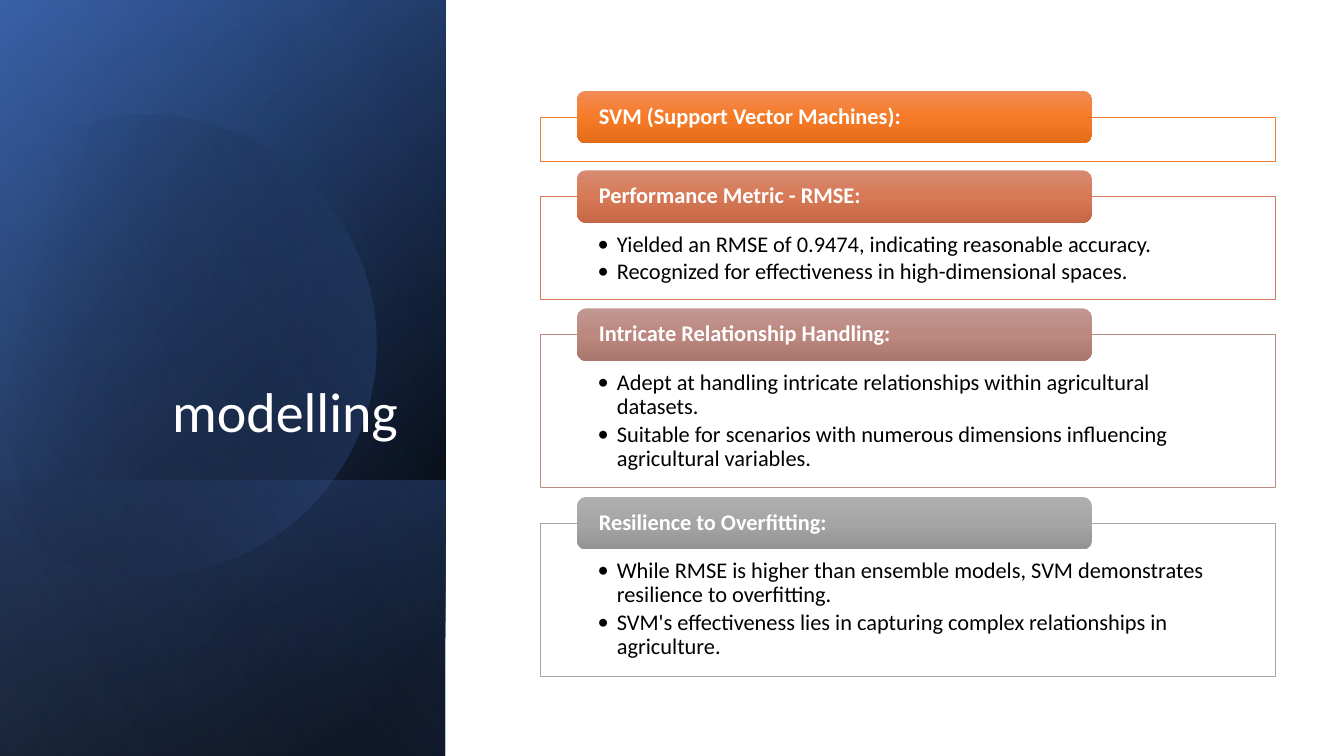
from dataclasses import dataclass

from pptx import Presentation
from pptx.dml.color import RGBColor
from pptx.enum.shapes import MSO_SHAPE
from pptx.enum.text import MSO_ANCHOR, PP_ALIGN
from pptx.oxml import parse_xml
from pptx.oxml.ns import nsdecls, qn
from pptx.shapes.autoshape import Shape
from pptx.shapes.shapetree import SlideShapes
from pptx.text.text import TextFrame, _Paragraph
from pptx.util import Emu, Inches, Pt

RECT, ROUNDED = MSO_SHAPE.RECTANGLE, MSO_SHAPE.ROUNDED_RECTANGLE
TOP, MIDDLE, BOTTOM = MSO_ANCHOR.TOP, MSO_ANCHOR.MIDDLE, MSO_ANCHOR.BOTTOM
LEFT, RIGHT = PP_ALIGN.LEFT, PP_ALIGN.RIGHT

SLIDE_WIDTH, SLIDE_HEIGHT = Inches(40 / 3), Inches(7.5)
CELL = SLIDE_HEIGHT / 75  # square grid: 75 rows, one cell is also one column
FONT = "Calibri"
BODY_SIZE = 16

COLORS = {
    "white": "FFFFFF", "black": "000000",
    "navy": "2F5597", "blue": "4472C4", "pale_blue": "8FAADC",
    "orange": "ED7D31", "orange_top": "F18C57", "orange_mid": "F67B28", "orange_low": "E56C19",
    "clay": "D17B5C", "clay_top": "D78B72", "clay_mid": "D77956", "clay_low": "C66846",
    "rose": "B98A82", "rose_top": "C19791", "rose_mid": "BC8880", "rose_low": "AA766E",
    "gray": "A5A5A5", "gray_top": "AFAFAF", "gray_mid": "A5A5A5", "gray_low": "939393",
}


@dataclass(frozen=True)
class Stop:
    position: int
    color: str
    opacity: int = 100


@dataclass(frozen=True)
class Gradient:
    angle: int
    stops: tuple[Stop, ...]


@dataclass(frozen=True)
class Box:
    """Left, top, width and height in grid cells."""
    column: float
    row: float
    columns: float
    rows: float


@dataclass(frozen=True)
class Backdrop:
    box: Box
    gradient: Gradient


@dataclass(frozen=True)
class Topic:
    heading: str
    color: str
    rows: float
    points: tuple[str, ...] = ()


SIDEBAR = Box(-15.4, 15.4, 75, 44.2)
BASE_LAYERS = (
    Backdrop(SIDEBAR, Gradient(50, (Stop(8, "black"), Stop(100, "navy")))),
    Backdrop(SIDEBAR, Gradient(30, (Stop(0, "black", 0), Stop(99, "blue", 46)))),
    Backdrop(Box(8.4, 39.25, 27.4, 44.2),
             Gradient(130, (Stop(2, "blue", 29), Stop(100, "black", 30)))),
)
GLAZE = Backdrop(SIDEBAR, Gradient(120, (Stop(0, "black", 0), Stop(99, "pale_blue", 11))))

DISC_BOX = Box(-5.5, 10.6, 42.7, 45.7)
DISC_ROTATION = 343.9
DISC_GRADIENT = Gradient(30, (Stop(29, "black", 0), Stop(100, "blue", 43)))
DISC_START = (14.9, 11)
# A curved segment holds two control points and an end point; a straight one only its end.
DISC_SEGMENTS = (
    ((24.6, 11.2), (33.5, 17.7), (36.3, 27.5)),
    ((39.8, 39.7), (32.8, 52.3), (20.7, 55.8)),
    ((13.1, 58), (5.3, 56.1), (-0.3, 51.4)),
    ((-1.5, 50.3),),
    ((-1.5, 17.5),),
    ((0, 16.1),),
    ((2.3, 14.2), (5, 12.8), (8, 11.9)),
    ((10.3, 11.3), (12.6, 11), DISC_START),
)

TITLE_BOX = Box(6.35, 18.4, 34.1, 26.2)
PANEL_COLUMN, PANEL_COLUMNS = 53.6, 72.9
TAB_COLUMN, TAB_COLUMNS, TAB_ROWS = 57.25, 51.05, 5.2
FIRST_PANEL_ROW, PANEL_GAP = 11.6, 3.5
TOPICS = (
    Topic("SVM (Support Vector Machines):", "orange", 4.4),
    Topic("Performance Metric - RMSE:", "clay", 10.2, (
        "Yielded an RMSE of 0.9474, indicating reasonable accuracy.",
        "Recognized for effectiveness in high-dimensional spaces.")),
    Topic("Intricate Relationship Handling:", "rose", 15.2, (
        "Adept at handling intricate relationships within agricultural datasets.",
        "Suitable for scenarios with numerous dimensions influencing agricultural variables.")),
    Topic("Resilience to Overfitting:", "gray", 15.2, (
        "While RMSE is higher than ensemble models, SVM demonstrates resilience to overfitting.",
        "SVM's effectiveness lies in capturing complex relationships in agriculture.")),
)


def cells(count: float) -> Emu:
    return Emu(round(count * CELL))


def place(box: Box) -> tuple[Emu, ...]:
    return tuple(cells(n) for n in (box.column, box.row, box.columns, box.rows))


def rgb(name: str) -> RGBColor:
    return RGBColor.from_string(COLORS[name])


def fill_gradient(shape: Shape, gradient: Gradient) -> None:
    """Give the shape a borderless gradient whose stops may be transparent."""
    shape.shadow.inherit = False
    shape.line.fill.background()
    shape.fill.background()
    stops = "".join(
        f'<a:gs pos="{stop.position * 1000}"><a:srgbClr val="{COLORS[stop.color]}">'
        f'<a:alpha val="{stop.opacity * 1000}"/></a:srgbClr></a:gs>'
        for stop in gradient.stops)
    fill = parse_xml(
        f'<a:gradFill {nsdecls("a")} rotWithShape="1"><a:gsLst>{stops}</a:gsLst>'
        f'<a:lin ang="{gradient.angle * 60000}" scaled="0"/></a:gradFill>')
    properties = shape._element.spPr
    properties.replace(properties.find(qn("a:noFill")), fill)


def draw_backdrop(shapes: SlideShapes, backdrop: Backdrop) -> None:
    layer = shapes.add_shape(RECT, *place(backdrop.box))
    layer.rotation = 90
    layer._element.spPr.find(qn("a:xfrm")).set("flipH", "1")
    fill_gradient(layer, backdrop.gradient)


def draw_disc(shapes: SlideShapes) -> None:
    """Draw the cut disc: its frame and end points first, then bend the curved segments."""
    left, top, width, height = place(DISC_BOX)
    builder = shapes.build_freeform(left, top)
    builder.move_to(left + width, top + height)
    builder.move_to(*map(cells, DISC_START))
    ends = [tuple(map(cells, segment[-1])) for segment in DISC_SEGMENTS]
    builder.add_line_segments(ends, close=True)
    disc = builder.convert_to_shape()
    outline = next(disc._element.iter(qn("a:path")))
    for frame_corner in outline.findall(qn("a:moveTo"))[:2]:
        outline.remove(frame_corner)
    for line, segment in zip(outline.findall(qn("a:lnTo")), DISC_SEGMENTS):
        if len(segment) == 3:
            knots = "".join(f'<a:pt x="{cells(x) - left}" y="{cells(y) - top}"/>'
                            for x, y in segment)
            outline.replace(line, parse_xml(
                f'<a:cubicBezTo {nsdecls("a")}>{knots}</a:cubicBezTo>'))
    disc.rotation = DISC_ROTATION
    fill_gradient(disc, DISC_GRADIENT)


def set_frame(frame: TextFrame, anchor: MSO_ANCHOR, side: float, top: float, bottom: float) -> None:
    frame.word_wrap = True
    frame.vertical_anchor = anchor
    frame.margin_left = frame.margin_right = cells(side)
    frame.margin_top, frame.margin_bottom = cells(top), cells(bottom)


def write(paragraph: _Paragraph, text: str, size: int, color: str,
          bold: bool = False, align: PP_ALIGN = LEFT) -> None:
    paragraph.alignment = align
    paragraph.line_spacing = 0.9
    run = paragraph.add_run()
    run.text = text
    run.font.name, run.font.size, run.font.bold = FONT, Pt(size), bold
    run.font.color.rgb = rgb(color)


def add_bullet(paragraph: _Paragraph) -> None:
    paragraph.space_after = Pt(2.5)
    properties = paragraph._p.get_or_add_pPr()
    properties.set("marL", str(cells(1.9)))
    properties.set("indent", str(cells(-1.9)))
    properties.append(parse_xml(f'<a:buFont {nsdecls("a")} typeface="{FONT}"/>'))
    properties.append(parse_xml(f'<a:buChar {nsdecls("a")} char="•"/>'))


def draw_topic(shapes: SlideShapes, topic: Topic, row: float) -> None:
    panel = shapes.add_shape(RECT, *place(Box(PANEL_COLUMN, row, PANEL_COLUMNS, topic.rows)))
    panel.shadow.inherit = False
    panel.fill.solid()
    panel.fill.fore_color.rgb = rgb("white")
    tint = panel._element.spPr.find(qn("a:solidFill")).find(qn("a:srgbClr"))
    tint.append(parse_xml(f'<a:alpha {nsdecls("a")} val="90000"/>'))
    panel.line.color.rgb, panel.line.width = rgb(topic.color), Pt(0.5)
    body = panel.text_frame
    set_frame(body, TOP, 5.7, 3.6, 0.6)
    for index, point in enumerate(topic.points):
        paragraph = body.add_paragraph() if index else body.paragraphs[0]
        write(paragraph, point, BODY_SIZE, "black")
        add_bullet(paragraph)

    tab = shapes.add_shape(
        ROUNDED, *place(Box(TAB_COLUMN, row - TAB_ROWS / 2, TAB_COLUMNS, TAB_ROWS)))
    fill_gradient(tab, Gradient(90, tuple(
        Stop(position, f"{topic.color}_{part}")
        for position, part in ((0, "top"), (50, "mid"), (100, "low")))))
    set_frame(tab.text_frame, MIDDLE, 1.9, 0, 0)
    write(tab.text_frame.paragraphs[0], topic.heading, BODY_SIZE, "white", bold=True)


def main() -> None:
    deck = Presentation()
    deck.slide_width, deck.slide_height = SLIDE_WIDTH, SLIDE_HEIGHT
    shapes = deck.slides.add_slide(deck.slide_layouts[6]).shapes
    for layer in BASE_LAYERS:
        draw_backdrop(shapes, layer)
    draw_disc(shapes)
    draw_backdrop(shapes, GLAZE)
    title = shapes.add_textbox(*place(TITLE_BOX)).text_frame
    set_frame(title, BOTTOM, 1, 0.5, 0.5)
    write(title.paragraphs[0], "modelling", 40, "white", align=RIGHT)
    row = FIRST_PANEL_ROW
    for topic in TOPICS:
        draw_topic(shapes, topic, row)
        row += topic.rows + PANEL_GAP
    deck.save("out.pptx")


if __name__ == "__main__":
    main()
